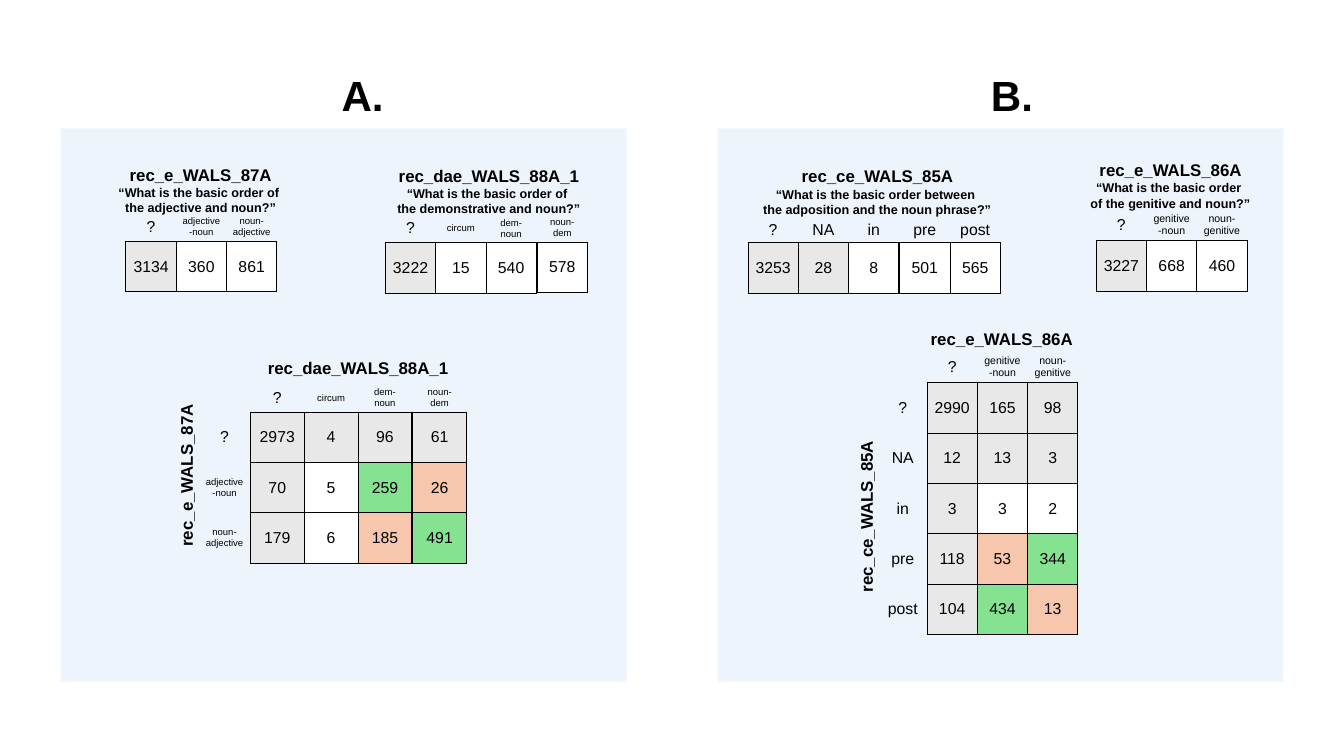
from dataclasses import dataclass

from pptx import Presentation
from pptx.dml.color import RGBColor
from pptx.enum.shapes import MSO_SHAPE
from pptx.enum.text import MSO_ANCHOR, MSO_AUTO_SIZE, PP_ALIGN
from pptx.oxml import parse_xml
from pptx.oxml.ns import nsdecls, qn
from pptx.util import Cm, Inches, Pt


@dataclass(frozen=True)
class Theme:
    font: str = "Arial"
    ink: str = "000000"
    panel: str = "DCEAF7"
    panel_alpha: int = 48000
    unknown: str = "E8E8E8"
    plain: str = "FFFFFF"
    match: str = "84E291"
    mismatch: str = "F6C6AD"
    letter: int = 40
    heading: int = 16
    question: int = 12
    value: int = 15
    label: int = 9
    wide_label: int = 10
    border: int = 1


THEME = Theme()
# One letter per cell; "." is a label outside the bordered grid.
SHADES = {"u": THEME.unknown, "p": THEME.plain,
          "m": THEME.match, "x": THEME.mismatch}
NO_STYLE = "{2D5ABB26-0587-4C30-8999-92F81FD0307C}"
HEADER, STEP, WIDE_STEP = 0.34, 1.99 / 3, 0.71


def write(paragraph, text, size, bold=False, align=PP_ALIGN.CENTER):
    paragraph.alignment = align
    run = paragraph.add_run()
    run.text = text
    run.font.name = THEME.font
    run.font.size = Pt(size)
    run.font.bold = bold
    run.font.color.rgb = RGBColor.from_string(THEME.ink)


class CountsSlide:
    def __init__(self, presentation, theme):
        self.theme = theme
        self.shapes = presentation.slides.add_slide(
            presentation.slide_layouts[6]).shapes

    def panel(self, left, top, width, height):
        panel = self.shapes.add_shape(
            MSO_SHAPE.RECTANGLE, Inches(left), Inches(top), Inches(width), Inches(height))
        panel.shadow.inherit = False
        panel.line.fill.background()
        panel.fill.solid()
        panel.fill.fore_color.rgb = RGBColor.from_string(self.theme.panel)
        color = panel.fill._xPr.find(qn("a:solidFill"))[0]
        color.append(parse_xml(
            f'<a:alpha {nsdecls("a")} val="{self.theme.panel_alpha}"/>'))

    def caption(self, left, top, width, height, lines, size=None, wrap=False,
                rotation=0, align=PP_ALIGN.CENTER):
        """Bold text box: the first line is the heading, the rest its question."""
        box = self.shapes.add_textbox(
            Inches(left), Inches(top), Inches(width), Inches(height))
        box.rotation = rotation
        frame = box.text_frame
        frame.word_wrap = wrap
        frame.auto_size = MSO_AUTO_SIZE.SHAPE_TO_FIT_TEXT
        for index, line in enumerate(lines):
            paragraph = frame.add_paragraph() if index else frame.paragraphs[0]
            line_size = self.theme.question if index else size or self.theme.heading
            write(paragraph, line, line_size, bold=True, align=align)

    def counts(self, left, top, columns, rows, shades, label_size=None):
        """Table of counts under a label row; shades holds one code string per row."""
        heights = [HEADER] + [STEP] * (len(rows) - 1)
        table = self.shapes.add_table(
            len(rows), len(columns), Inches(left), Inches(top),
            Inches(sum(columns)), Inches(sum(heights))).table
        table.first_row = table.horz_banding = False
        table._tbl.tblPr.find(qn("a:tableStyleId")).text = NO_STYLE
        for column, width in zip(table.columns, columns):
            column.width = Inches(width)
        for row, height, texts, codes in zip(table.rows, heights, rows, shades):
            row.height = Inches(height)
            for cell, text, code in zip(row.cells, texts, codes):
                self.cell(cell, text, SHADES.get(code), label_size or self.theme.label)

    def cell(self, cell, text, shade, label_size):
        cell.vertical_anchor = MSO_ANCHOR.MIDDLE
        cell.margin_left = cell.margin_right = Inches(0.08)
        cell.margin_top = cell.margin_bottom = Inches(0.04)
        if text:
            size = label_size if len(text) > 4 else self.theme.value
            write(cell.text_frame.paragraphs[0], text, size)
        if shade is None:
            cell.fill.background()
            return
        cell.fill.solid()
        cell.fill.fore_color.rgb = RGBColor.from_string(shade)
        properties = cell._tc.get_or_add_tcPr()
        for index, side in enumerate("LRTB"):
            properties.insert(index, parse_xml(
                f'<a:ln{side} {nsdecls("a")} w="{Pt(self.theme.border)}"><a:solidFill>'
                f'<a:srgbClr val="{self.theme.ink}"/></a:solidFill></a:ln{side}>'))


def draw_adjective_panel(slide):
    slide.panel(0.8, 1.69, 7.46, 7.29)
    slide.caption(4.34, 0.86, 0.88, 0.77, ["A."], size=THEME.letter, wrap=True)

    slide.caption(1.45, 2.12, 2.39, 0.77, [
        "rec_e_WALS_87A", "“What is the basic order of ", "the adjective and noun?”"])
    slide.counts(1.66, 2.8, [STEP] * 3, [
        ["?", "adjective-noun", "noun-adjective"],
        ["3134", "360", "861"]], ["...", "upp"])

    slide.caption(5.12, 2.13, 2.65, 0.77, [
        "rec_dae_WALS_88A_1", "“What is the basic order of ",
        "the demonstrative and noun?”"], wrap=True)
    slide.counts(5.08, 2.82, [STEP] * 3, [
        ["?", "circum", "dem-noun"], ["3222", "15", "540"]], ["...", "upp"])
    slide.counts(7.08, 2.81, [STEP], [["noun-dem"], ["578"]], ".p")

    slide.caption(3.42, 4.67, 2.6, 0.37, ["rec_dae_WALS_88A_1"])
    slide.caption(1.41, 6.07, 2.09, 0.37, ["rec_e_WALS_87A"],
                  rotation=270, align=PP_ALIGN.LEFT)
    slide.counts(2.62, 5.05, [0.68] + [WIDE_STEP] * 3, [
        ["", "?", "circum", "dem-noun"],
        ["?", "2973", "4", "96"],
        ["adjective-noun", "70", "5", "259"],
        ["noun-adjective", "179", "6", "185"]],
        ["....", ".uuu", ".upm", ".upx"])
    slide.counts(5.44, 5.05, [WIDE_STEP],
                 [["noun-dem"], ["61"], ["26"], ["491"]], ".uxm")


def draw_genitive_panel(slide):
    slide.panel(9.46, 1.69, 7.46, 7.29)
    slide.caption(12.9, 0.86, 0.88, 0.77, ["B."], size=THEME.letter, wrap=True)

    slide.caption(9.94, 2.14, 3.25, 0.77, [
        "rec_ce_WALS_85A", "“What is the basic order between ",
        "the adposition and the noun phrase?”"])
    slide.counts(9.86, 2.86, [STEP] * 3, [
        ["?", "NA", "in"], ["3253", "28", "8"]], ["...", "uup"])
    for index, (order, count) in enumerate([("pre", "501"), ("post", "565")]):
        slide.counts(11.86 + index * STEP, 2.86, [STEP], [[order], [count]], ".p")

    slide.caption(14.26, 2.06, 2.34, 0.77, [
        "rec_e_WALS_86A", "“What is the basic order ", "of the genitive and noun?”"])
    genitive_orders = ["?", "genitive-noun", "noun-genitive"]
    slide.counts(14.45, 2.76, [STEP] * 3, [
        genitive_orders, ["3227", "668", "460"]], ["...", "upp"],
        label_size=THEME.wide_label)

    slide.caption(12.16, 4.28, 2.09, 0.37, ["rec_e_WALS_86A"])
    slide.caption(10.31, 6.61, 2.22, 0.37, ["rec_ce_WALS_85A"],
                  rotation=270, align=PP_ALIGN.LEFT)
    slide.counts(11.58, 4.63, [0.64] + [STEP] * 3, [
        ["", *genitive_orders],
        ["?", "2990", "165", "98"],
        ["NA", "12", "13", "3"],
        ["in", "3", "3", "2"],
        ["pre", "118", "53", "344"],
        ["post", "104", "434", "13"]],
        ["....", ".uuu", ".uuu", ".upp", ".uxm", ".umx"],
        label_size=THEME.wide_label)


def main():
    presentation = Presentation()
    presentation.slide_width = Cm(45)
    presentation.slide_height = Cm(25)
    slide = CountsSlide(presentation, THEME)
    draw_adjective_panel(slide)
    draw_genitive_panel(slide)
    presentation.save("out.pptx")


if __name__ == "__main__":
    main()
